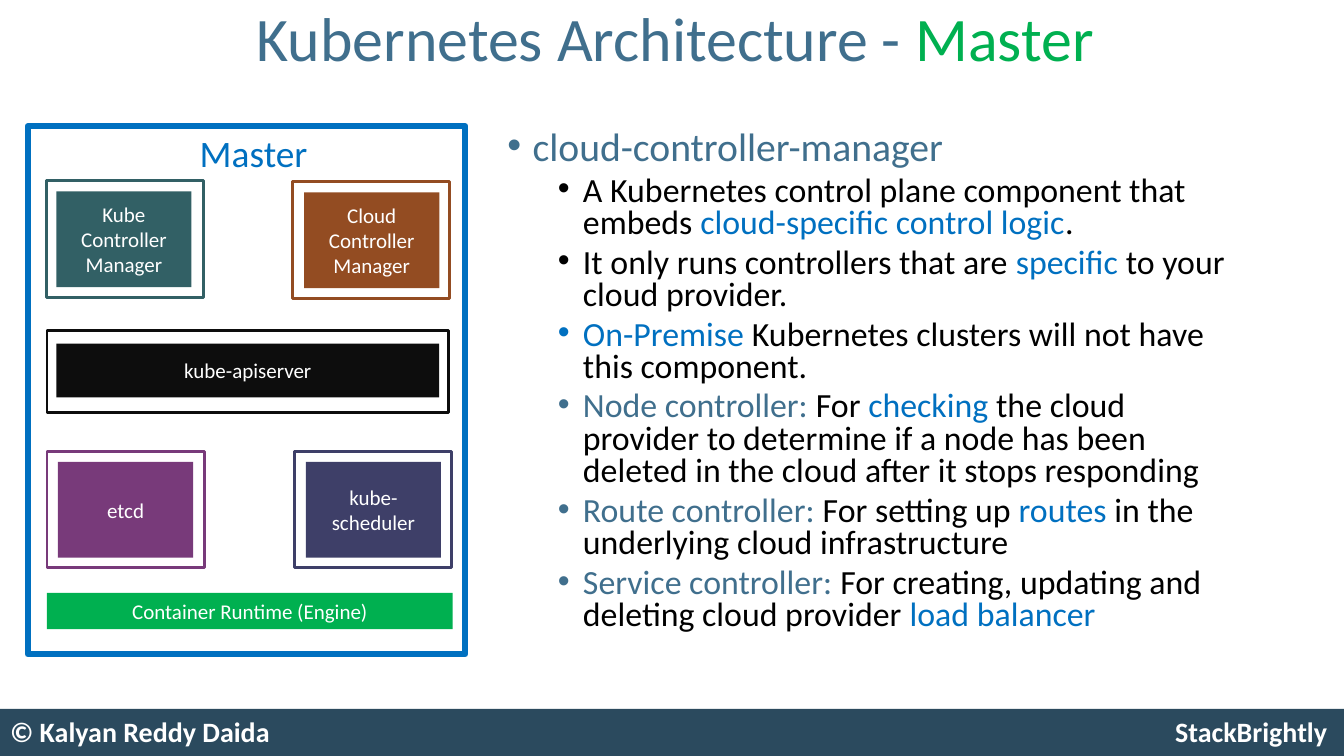
from lxml import etree
from pptx import Presentation
from pptx.dml.color import RGBColor
from pptx.enum import shapes, text
from pptx.oxml import ns
from pptx.util import Inches, Pt

BLUE, STEEL, GREEN = "0070C0", "406F8D", "00B050"
BLACK, WHITE, NAVY = "000000", "FFFFFF", "2B4A5E"
MID, LEFT = text.PP_ALIGN.CENTER, text.PP_ALIGN.LEFT

TITLE = [("Kubernetes Architecture - ", STEEL), ("Master", GREEN)]
# label, colour, block place, frame place
PARTS = [
    ("Kube Controller Manager", "326065", (0.67, 2.28, 1.61, 1.14), (0.55, 2.15, 1.87, 1.39)),
    ("Cloud Controller Manager", "934C22", (3.62, 2.29, 1.61, 1.14), (3.48, 2.16, 1.87, 1.39)),
    ("kube-apiserver", "0D0D0D", (0.67, 4.09, 4.56, 0.64), (0.56, 3.93, 4.78, 0.98)),
    ("etcd", "783A7A", (0.69, 5.5, 1.61, 1.14), (0.56, 5.37, 1.87, 1.39)),
    ("kube-scheduler", "3E3F68", (3.64, 5.5, 1.61, 1.14), (3.51, 5.37, 1.87, 1.39)),
    ("Container Runtime (Engine)", GREEN, (0.56, 7.06, 4.83, 0.43), None),
]
HEAD = [("cloud-controller-manager", STEEL)]
POINTS = [
    [("A Kubernetes control plane component that embeds ", BLACK),
     ("cloud-specific control logic", BLUE), (".", BLACK)],
    [("It only runs controllers that are ", BLACK), ("specific", BLUE),
     (" to your cloud provider.", BLACK)],
    [("On-Premise", BLUE), (" Kubernetes clusters will not have this component.", BLACK)],
    [("Node controller: ", STEEL), ("For ", BLACK), ("checking", BLUE),
     (" the cloud provider to determine if a node has been deleted in the cloud"
      " after it stops responding", BLACK)],
    [("Route controller: ", STEEL), ("For setting up ", BLACK), ("routes", BLUE),
     (" in the underlying cloud infrastructure", BLACK)],
    [("Service controller: ", STEEL),
     ("For creating, updating and deleting cloud provider ", BLACK), ("load balancer", BLUE)],
]

deck = Presentation()
deck.slide_width, deck.slide_height = Inches(16), Inches(9)
slide = deck.slides.add_slide(deck.slide_layouts[6])


def color(code):
    return RGBColor.from_string(code)


def put(obj, **form):
    for name, value in form.items():
        setattr(obj, name, value)


def write(para, runs, size, bold=False, **form):
    put(para, **form)
    for words, code in runs:
        run = para.add_run()
        run.text = words
        put(run.font, name="Calibri", size=Pt(size), bold=bold)
        run.font.color.rgb = color(code)


def rect(place, fill=None, line=None, width=1):
    box = slide.shapes.add_shape(shapes.MSO_SHAPE.RECTANGLE, *map(Inches, place))
    box.shadow.inherit = False
    for part, code in ((box.fill, fill), (box.line.fill, line)):
        if code:
            part.solid()
            part.fore_color.rgb = color(code)
        else:
            part.background()
    if line:
        box.line.width = Pt(width)
    return box


def area(place, anchor=text.MSO_ANCHOR.MIDDLE, side=0.12, top=0.06, wrap=True):
    """Add a text box and return its text frame."""
    frame = slide.shapes.add_textbox(*map(Inches, place)).text_frame
    put(frame, word_wrap=wrap, vertical_anchor=anchor,
        margin_left=Inches(side), margin_right=Inches(side),
        margin_top=Inches(top), margin_bottom=Inches(top))
    return frame


def bullet(para, left):
    props = para._p.get_or_add_pPr()
    for name, value in {"marL": left, "indent": -0.3}.items():
        props.set(name, str(Inches(value)))
    etree.SubElement(props, ns.qn("a:buFont"), typeface="Arial")
    etree.SubElement(props, ns.qn("a:buChar"), char="•")


rect((-0.02, 8.44, 16.02, 0.56), NAVY)
for words, left, width, align in (("StackBrightly", 13.83, 2.13, MID),
                                  ("© Kalyan Reddy Daida", 0, 5.4, LEFT)):
    foot = area((left, 8.47, width, 0.48))
    write(foot.paragraphs[0], [(words, WHITE)], 24, True, alignment=align)

title = area((1.14, -0.16, 13.8, 1.3))
write(title.paragraphs[0], TITLE, 53, alignment=MID, line_spacing=0.9)

rect((0.33, 1.5, 5.21, 6.29), line=BLUE, width=5)
name = area((2.28, 1.5, 1.6, 0.64), text.MSO_ANCHOR.TOP, 0.1, 0.05, False)
write(name.paragraphs[0], [("Master", BLUE)], 32)

for label, code, block, frame in PARTS:
    if frame:
        rect(frame, line=code, width=2.5)
    inner = rect(block, code).text_frame
    put(inner, word_wrap=True, vertical_anchor=text.MSO_ANCHOR.MIDDLE)
    write(inner.paragraphs[0], [(label, WHITE)], 18, alignment=MID)

body = area((5.92, 1.5, 8.98, 6.61), text.MSO_ANCHOR.TOP)
head = body.paragraphs[0]
bullet(head, 0.3)
write(head, HEAD, 34, line_spacing=0.8)
for runs in POINTS:
    para = body.add_paragraph()
    bullet(para, 0.9)
    write(para, runs, 29, level=1, line_spacing=0.8, space_before=Pt(6))

deck.save("out.pptx")
